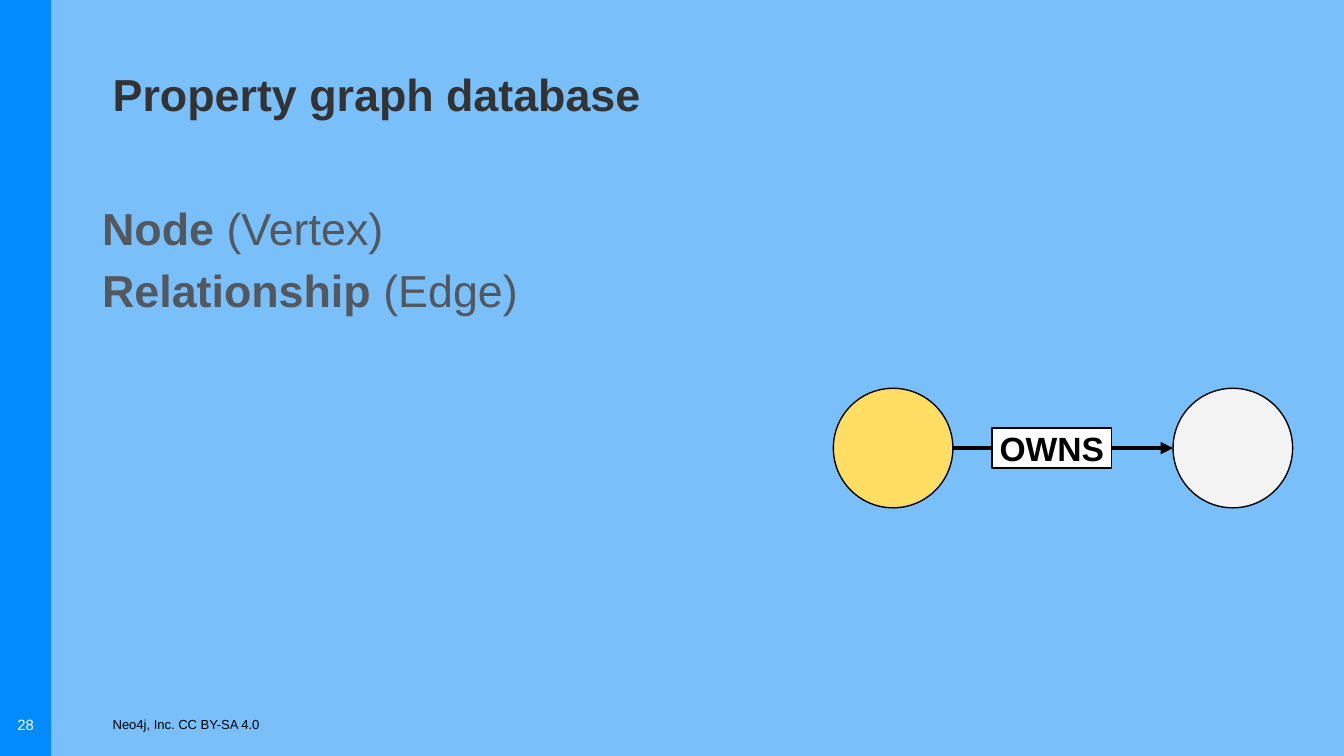
from pptx import Presentation
from pptx.dml.color import RGBColor
from pptx.enum.shapes import MSO_CONNECTOR, MSO_SHAPE
from pptx.enum.text import MSO_ANCHOR, PP_ALIGN
from pptx.oxml.ns import qn
from pptx.util import Cm, Pt
from lxml import etree

RECT, OVAL = MSO_SHAPE.RECTANGLE, MSO_SHAPE.OVAL
STRAIGHT = MSO_CONNECTOR.STRAIGHT
TOP, MIDDLE = MSO_ANCHOR.TOP, MSO_ANCHOR.MIDDLE
LEFT, CENTER = PP_ALIGN.LEFT, PP_ALIGN.CENTER

SKY = RGBColor(0x79, 0xBF, 0xFA)
BLUE = RGBColor(0x01, 0x8B, 0xFF)
DARK = RGBColor(0x33, 0x33, 0x33)
GRAY = RGBColor(0x53, 0x58, 0x5F)
GOLD = RGBColor(0xFF, 0xDE, 0x63)
PALE = RGBColor(0xF3, 0xF3, 0xF3)
BLACK = RGBColor(0, 0, 0)
WHITE = RGBColor(255, 255, 255)

# Content: each line is a list of (text, bold) runs
TITLE = [[("Property graph database", True)]]
TERMS = [
    [("Node ", True), ("(Vertex)", False)],
    [("Relationship ", True), ("(Edge)", False)],
]
LABEL = [[("OWNS", True)]]
FOOTER = [[("Neo4j, Inc. CC BY-SA 4.0", False)]]
NUMBER = [[("28", False)]]

# Layout in cm
WIDE, HIGH = 25.4, 14.29
BAR = 0.97
MARGIN = 1.88
SIZE = 2.26            # circle diameter and label width
MID = 8.47             # height of the graph's axis
NODES = [(15.75, GOLD), (22.17, PALE)]
TAG_X, TAG_H = 18.75, 0.76


def write(shape, lines, size, color, align=LEFT, anchor=TOP, inset=0.25, space=1.0):
    frame = shape.text_frame
    frame.word_wrap = True
    frame.vertical_anchor = anchor
    frame.margin_left = frame.margin_right = Cm(inset)
    frame.margin_top = frame.margin_bottom = Cm(inset)
    for i, line in enumerate(lines):
        para = frame.add_paragraph() if i else frame.paragraphs[0]
        para.alignment = align
        para.line_spacing = space
        para.space_before = Pt(0)
        for text, bold in line:
            run = para.add_run()
            run.text = text
            run.font.name = "Arial"
            run.font.size = Pt(size)
            run.font.bold = bold
            run.font.color.rgb = color


def draw(kind, x, y, w, h, fill, line=None):
    shape = shapes.add_shape(kind, Cm(x), Cm(y), Cm(w), Cm(h))
    shape.shadow.inherit = False
    shape.fill.solid()
    shape.fill.fore_color.rgb = fill
    if line is None:
        shape.line.fill.background()
    else:
        shape.line.color.rgb = line
        shape.line.width = Pt(0.75)
    return shape


def box(x, y, w, h):
    return shapes.add_textbox(Cm(x), Cm(y), Cm(w), Cm(h))


deck = Presentation()
deck.slide_width, deck.slide_height = Cm(WIDE), Cm(HIGH)
slide = deck.slides.add_slide(deck.slide_layouts[5])
shapes = slide.shapes
slide.background.fill.solid()
slide.background.fill.fore_color.rgb = SKY

# Footer, side bar and page number
write(box(MARGIN, 13.26, 20.93, 0.86), FOOTER, 7, BLACK, anchor=MIDDLE)
draw(RECT, 0, 0, BAR, HIGH, BLUE)
write(box(0, 13.16, BAR, 1.09), NUMBER, 8, WHITE,
      align=CENTER, anchor=MIDDLE, inset=0)

# Title and terms
title = shapes.title
title.left, title.top = Cm(MARGIN), Cm(1.02)
title.width, title.height = Cm(22.35), Cm(1.6)
write(title, TITLE, 24, DARK)
write(box(1.68, 3.4, 13.97, 2.54), TERMS, 24, GRAY, space=1.15)

# Arrow from the first circle to the second
start, end = NODES[0][0] + SIZE, NODES[1][0]
arrow = shapes.add_connector(STRAIGHT, Cm(start), Cm(MID), Cm(end), Cm(MID))
arrow.line.color.rgb = BLACK
arrow.line.width = Pt(2.25)
etree.SubElement(arrow.line._get_or_add_ln(), qn("a:tailEnd"), type="triangle")
etree.SubElement(arrow._element.spPr, qn("a:effectLst"))

# Circles and the label on the arrow
for x, fill in NODES:
    draw(OVAL, x, MID - SIZE / 2, SIZE, SIZE, fill, line=BLACK)
tag = draw(RECT, TAG_X, MID - TAG_H / 2, SIZE, TAG_H, WHITE, line=BLACK)
write(tag, LABEL, 18, BLACK, align=CENTER, anchor=MIDDLE, inset=0)

deck.save("out.pptx")
